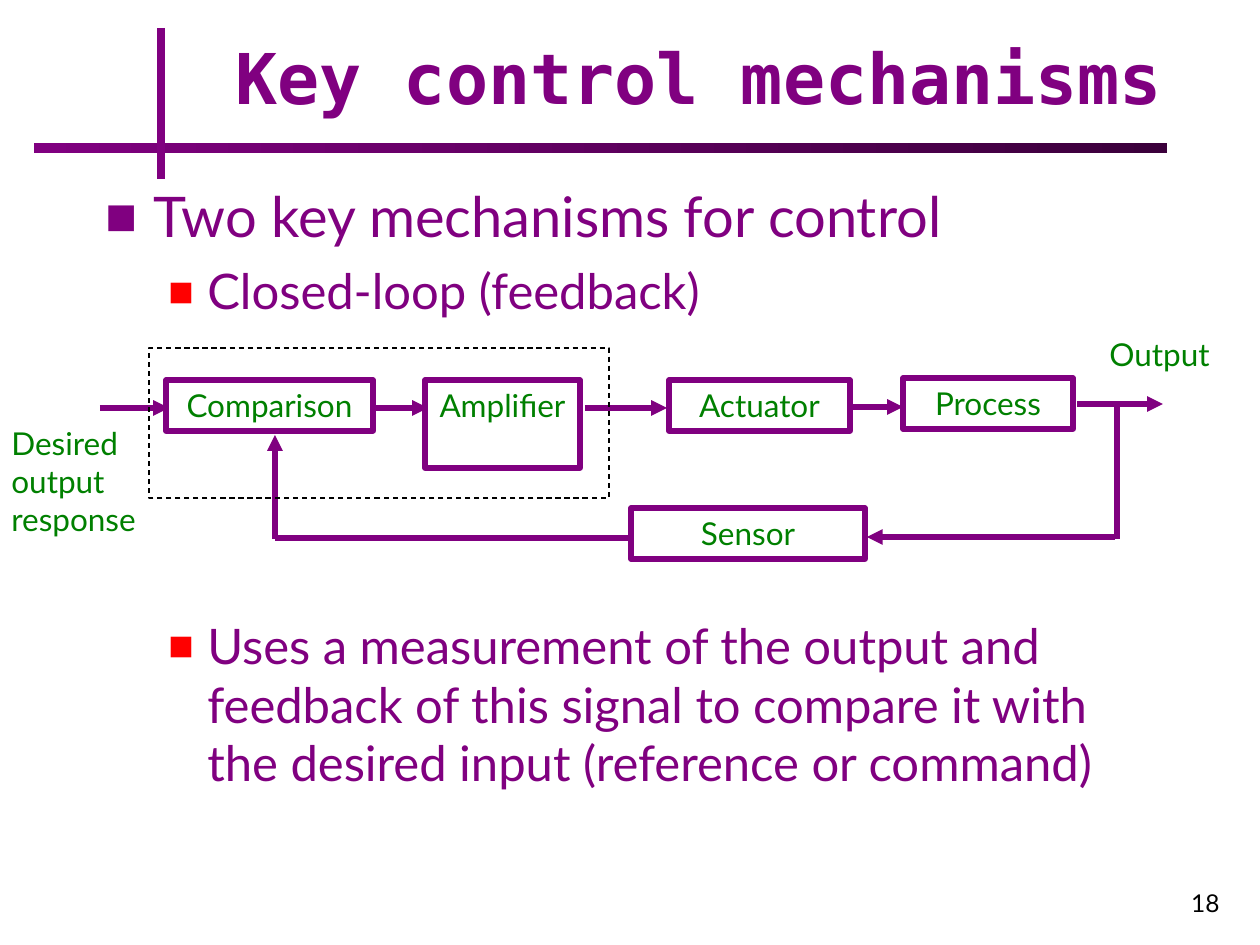
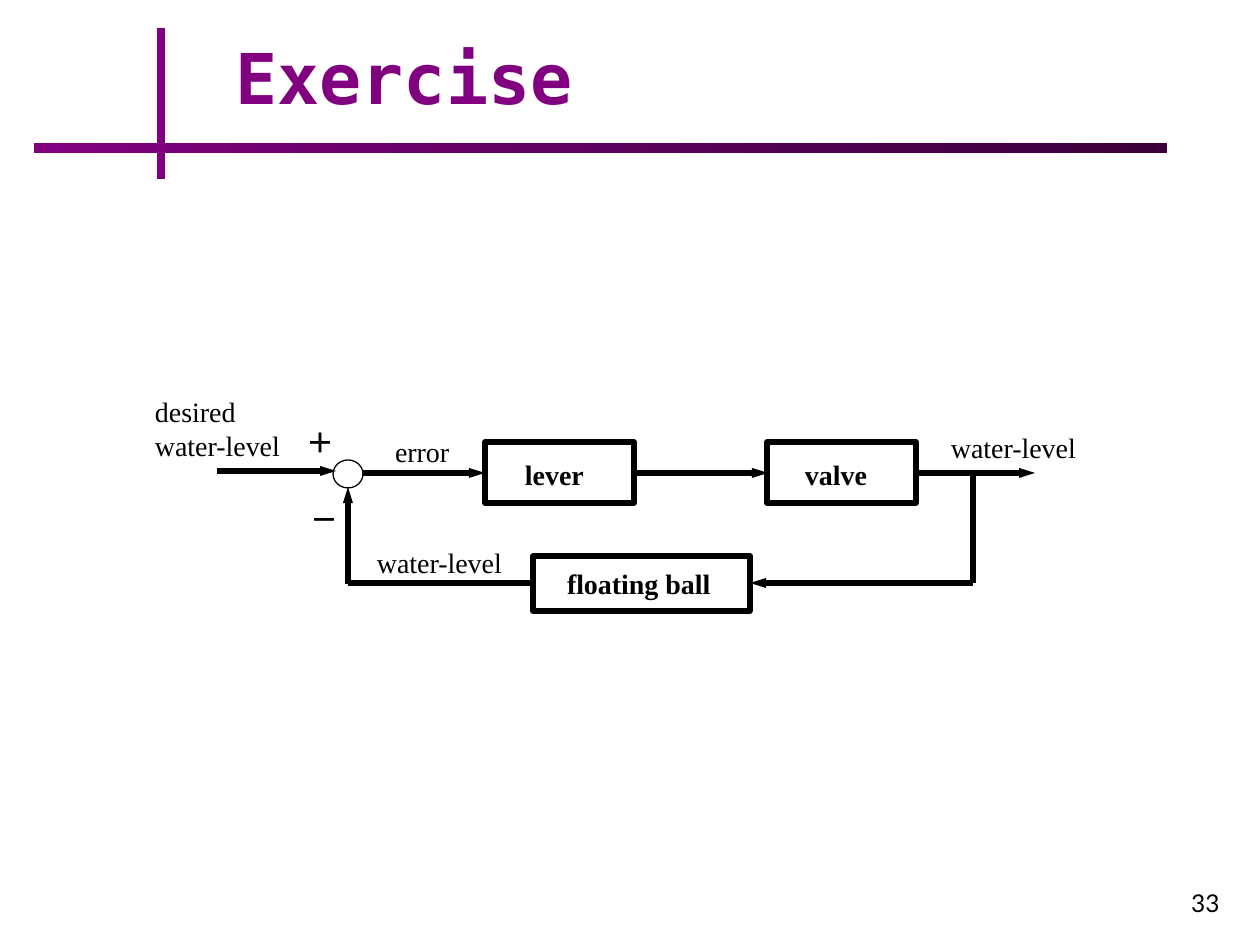
from dataclasses import dataclass

from lxml import etree
from pptx import Presentation
from pptx import util as u
from pptx.dml import color
from pptx.enum import dml, shapes, text
from pptx.oxml import ns

SCALE = u.Inches(1) / 126


def px(length):
    return u.Emu(round(length * SCALE))


def add_xml(parent, tag, **attributes):
    return etree.SubElement(parent, ns.qn(tag), attributes)


@dataclass(frozen=True)
class TextStyle:
    font: str
    size: int
    color: str
    bold: bool = False


@dataclass(frozen=True)
class Bullet:
    style: TextStyle
    color: str
    percent: int
    margin: int
    hanging: int


@dataclass(frozen=True)
class Theme:
    purple: str = "800080"
    dark_purple: str = "3B003B"
    black: str = "000000"
    thick: float = 3
    thin: float = 0.74
    rule: float = 5
    title: TextStyle = TextStyle("DejaVu Sans Mono", 40, "800080", True)
    page: TextStyle = TextStyle("Lato", 14, "000000")
    block: TextStyle = TextStyle("Lato", 18, "008000")
    signal: TextStyle = TextStyle("Times New Roman", 16, "000000")
    element: TextStyle = TextStyle("Times New Roman", 16, "000000", True)
    sign: TextStyle = TextStyle("Noto Sans CJK SC", 16, "000000", True)
    topic: Bullet = Bullet(TextStyle("Lato", 32, "800080"), "800080", 60, 48, 48)
    detail: Bullet = Bullet(TextStyle("Lato", 28, "800080"), "FF0000", 55, 102, 39)


class Deck:
    def __init__(self, theme):
        self.theme = theme
        self.presentation = Presentation()
        self.presentation.slide_width = px(1260)
        self.presentation.slide_height = px(945)
        self.slide = None

    def start_slide(self, title, page):
        layout = self.presentation.slide_layouts[5]
        self.slide = self.presentation.slides.add_slide(layout)
        band = self.shape(shapes.MSO_SHAPE.RECTANGLE, 34, 143, 1133, 10)
        band.line.fill.background()
        band.fill.gradient()
        band.fill.gradient_angle = 0
        for stop, shade in zip(band.fill.gradient_stops,
                               (self.theme.purple, self.theme.dark_purple)):
            stop.color.rgb = color.RGBColor.from_string(shade)
        self.line((161, 28), (161, 179), self.theme.purple, self.theme.rule)

        heading = self.slide.shapes.title
        heading.left, heading.top, heading.width, heading.height = map(
            px, (223, 29, 1009, 96))
        self.set_text(heading.text_frame, title, self.theme.title,
                      anchor=text.MSO_ANCHOR.BOTTOM)
        footer = self.slide.shapes.add_textbox(*map(px, (970, 861, 262, 63)))
        self.set_text(footer.text_frame, page, self.theme.page,
                      text.PP_ALIGN.RIGHT, text.MSO_ANCHOR.BOTTOM)

    def format_runs(self, paragraph, style):
        for run in paragraph.runs:
            run.font.name = style.font
            run.font.size = u.Pt(style.size)
            run.font.bold = style.bold
            run.font.color.rgb = color.RGBColor.from_string(style.color)
            add_xml(run.font._element, "a:ea", typeface=style.font)

    def set_text(self, frame, wording, style, align=text.PP_ALIGN.LEFT,
                 anchor=text.MSO_ANCHOR.TOP, wrap=True):
        frame.text = wording
        frame.auto_size = text.MSO_AUTO_SIZE.NONE
        frame.word_wrap = wrap
        frame.vertical_anchor = anchor
        for paragraph in frame.paragraphs:
            paragraph.alignment = align
            self.format_runs(paragraph, style)

    def shape(self, kind, left, top, width, height, width_pt=None, dashed=False,
              shade=None):
        outline = self.slide.shapes.add_shape(
            kind, *map(px, (left, top, width, height)))
        outline.shadow.inherit = False
        outline.fill.background()
        outline.line.color.rgb = color.RGBColor.from_string(shade or self.theme.black)
        outline.line.width = u.Pt(width_pt or self.theme.thick)
        if dashed:
            outline.line.dash_style = dml.MSO_LINE.DASH
        return outline

    def block(self, wording, left, top, width, height=51):
        box = self.shape(shapes.MSO_SHAPE.RECTANGLE, left, top, width, height,
                         shade=self.theme.purple)
        self.set_text(box.text_frame, wording, self.theme.block, text.PP_ALIGN.CENTER)

    def label(self, wording, style, left, top, width, height=34, padded=False):
        box = self.slide.shapes.add_textbox(*map(px, (left, top, width, height)))
        frame = box.text_frame
        if not padded:
            frame.margin_left = frame.margin_right = 0
            frame.margin_top = frame.margin_bottom = 0
        self.set_text(frame, wording, style, wrap=False)

    def line(self, start, end, shade, width_pt, arrow=False):
        stroke = self.slide.shapes.add_connector(
            shapes.MSO_CONNECTOR.STRAIGHT, *map(px, start + end))
        stroke.line.color.rgb = color.RGBColor.from_string(shade)
        stroke.line.width = u.Pt(width_pt)
        if arrow:
            add_xml(stroke.line._get_or_add_ln(), "a:tailEnd", type="triangle")
        add_xml(stroke._element.spPr, "a:effectLst")

    def arrowhead(self, tip, direction):
        (x, y), (dx, dy) = tip, direction
        base_x, base_y = x - 16 * dx, y - 16 * dy
        builder = self.slide.shapes.build_freeform(
            base_x - 5 * dy, base_y - 5 * dx, scale=SCALE)
        builder.add_line_segments([(x, y), (base_x + 5 * dy, base_y + 5 * dx)])
        head = builder.convert_to_shape()
        head.shadow.inherit = False
        head.fill.solid()
        head.fill.fore_color.rgb = color.RGBColor.from_string(self.theme.black)
        head.line.fill.background()

    def bullets(self, items, left, top, width, height):
        box = self.slide.shapes.add_textbox(*map(px, (left, top, width, height)))
        frame = box.text_frame
        frame.word_wrap = True
        frame.text = "\n".join(wording for wording, _, _ in items)
        for paragraph, (_, bullet, gap) in zip(frame.paragraphs, items):
            paragraph.space_before = u.Pt(gap)
            self.format_runs(paragraph, bullet.style)
            properties = paragraph._p.get_or_add_pPr()
            properties.set("marL", str(px(bullet.margin)))
            properties.set("indent", str(-px(bullet.hanging)))
            tint = add_xml(properties, "a:buClr")
            add_xml(tint, "a:srgbClr", val=bullet.color)
            add_xml(properties, "a:buSzPct", val=str(bullet.percent * 1000))
            add_xml(properties, "a:buFont", typeface="Lato")
            add_xml(properties, "a:buChar", char="■")


def control_mechanisms(deck):
    theme = deck.theme
    deck.start_slide("Key control mechanisms", "18")
    deck.bullets([
        ("Two key mechanisms for control", theme.topic, 8),
        ("Closed-loop (feedback)", theme.detail, 7),
        ("Uses a measurement of the output and feedback of this signal to compare "
         "it with the desired input (reference or command)", theme.detail, 169),
    ], 93, 175, 1057, 704)

    for wording, *place in [
        ("Comparison", 166, 380, 207),
        ("Amplifier", 425, 380, 155, 88),
        ("Actuator", 669, 380, 181),
        ("Process", 903, 378, 170),
        ("Sensor", 631, 508, 234),
    ]:
        deck.block(wording, *place)

    for start, end, arrow in [
        ((100, 408), (169, 408), True),
        ((375, 408), (428, 408), True),
        ((585, 408), (667, 408), True),
        ((852, 407), (903, 407), True),
        ((1077, 404), (1163, 404), True),
        ((1117, 406), (1117, 539), False),
        ((1115, 537), (867, 537), True),
        ((629, 538), (275, 538), False),
        ((275, 539), (275, 435), True),
    ]:
        deck.line(start, end, theme.purple, theme.thick, arrow)

    deck.label("Desired\noutput\nresponse", theme.block, -1, 418, 161, 126, padded=True)
    deck.label("Output", theme.block, 1097, 329, 131, 50, padded=True)
    deck.shape(shapes.MSO_SHAPE.RECTANGLE, 149, 348, 460, 150, theme.thin, dashed=True)


def exercise(deck):
    theme = deck.theme
    deck.start_slide("Exercise", "33")
    deck.shape(shapes.MSO_SHAPE.OVAL, 333, 460, 30, 28, theme.thin)
    for place in [(485, 442, 149, 61), (767, 442, 149, 61), (533, 556, 217, 55)]:
        deck.shape(shapes.MSO_SHAPE.RECTANGLE, *place)

    for start, end in [
        ((217, 471), (321, 471)),
        ((362, 473), (470, 473)),
        ((634, 473), (753, 473)),
        ((916, 473), (1020, 473)),
        ((973, 473), (973, 583)),
        ((973, 583), (765, 583)),
        ((532, 583), (348, 583)),
        ((348, 584), (348, 501)),
    ]:
        deck.line(start, end, theme.black, theme.thick)

    right, left, up = (1, 0), (-1, 0), (0, -1)
    for tip, direction in [
        ((336, 471), right),
        ((485, 473), right),
        ((768, 473), right),
        ((1035, 473), right),
        ((750, 583), left),
        ((348, 487), up),
    ]:
        deck.arrowhead(tip, direction)

    for wording, style, *place in [
        ("lever", theme.element, 525, 457, 59),
        ("valve", theme.element, 805, 457, 62),
        ("floating ball", theme.element, 567, 567, 144),
        ("desired\nwater-level", theme.signal, 155, 395, 126, 67),
        ("error", theme.signal, 395, 435, 54),
        ("water-level", theme.signal, 951, 431, 126),
        ("water-level", theme.signal, 377, 545, 126),
        ("＋", theme.sign, 307, 426, 28),
        ("－", theme.sign, 311, 503, 28),
    ]:
        deck.label(wording, style, *place)


deck = Deck(Theme())
control_mechanisms(deck)
exercise(deck)
deck.presentation.save("out.pptx")
